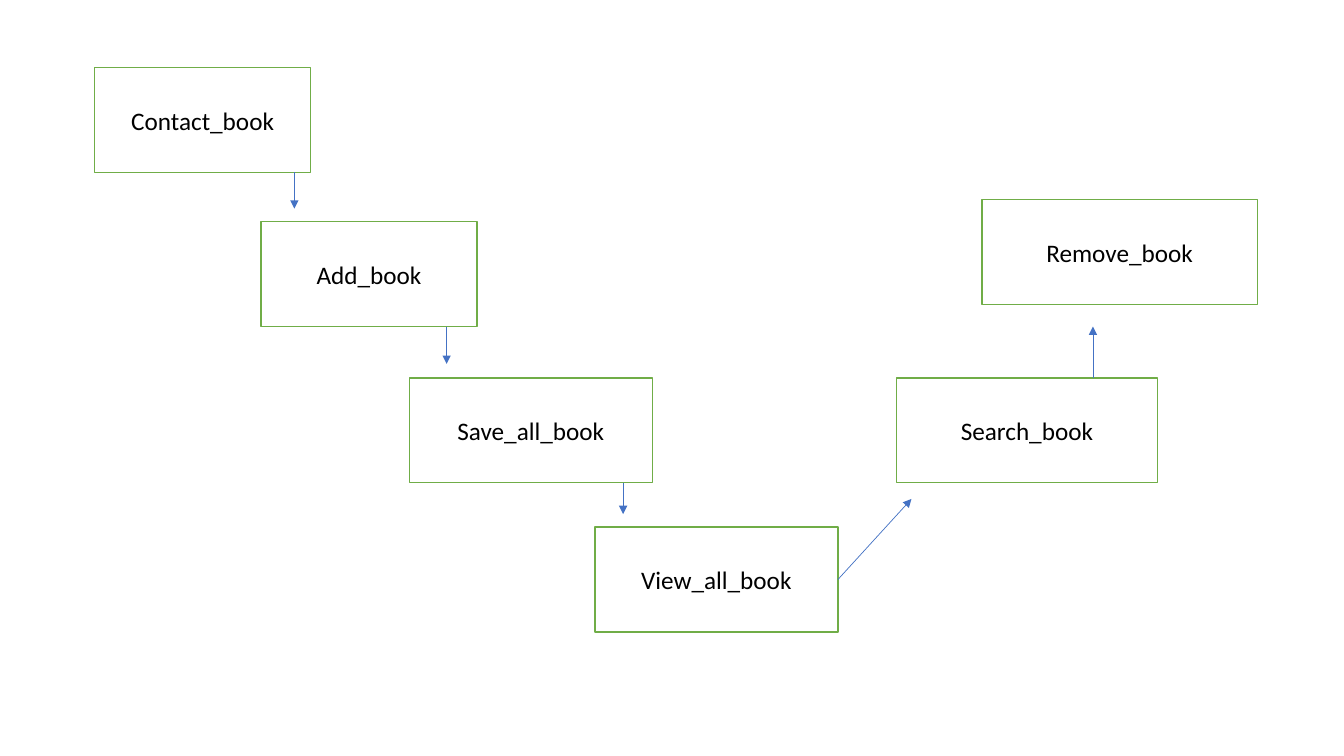
from lxml import etree
from pptx import Presentation
from pptx.dml.color import RGBColor
from pptx.enum import shapes, text
from pptx.oxml import ns
from pptx.util import Inches, Pt

COLORS = {"fill": "FFFFFF", "edge": "70AD47", "text": "000000", "arrow": "4472C4"}
HEIGHT = 1.04

# name: left, top, width
BOXES = {
    "Contact_book": (0.94, 0.67, 2.14),
    "Add_book": (2.59, 2.2, 2.14),
    "Save_all_book": (4.06, 3.75, 2.41),
    "View_all_book": (5.9, 5.23, 2.41),
    "Search_book": (8.89, 3.75, 2.59),
    "Remove_book": (9.74, 1.98, 2.73),
}
# start x, start y, end x, end y
ARROWS = [
    (2.92, 1.71, 2.92, 2.07),
    (4.43, 3.24, 4.43, 3.61),
    (6.18, 4.79, 6.18, 5.1),
    (8.31, 5.75, 9.04, 4.95),
    (10.84, 3.75, 10.84, 3.24),
]

deck = Presentation()
deck.slide_width, deck.slide_height = Inches(13.33), Inches(7.5)
slide = deck.slides.add_slide(deck.slide_layouts[6])

nodes = {}
for name, (left, top, width) in BOXES.items():
    box = slide.shapes.add_shape(
        shapes.MSO_SHAPE.RECTANGLE,
        Inches(left), Inches(top), Inches(width), Inches(HEIGHT))
    box.shadow.inherit = False
    box.fill.solid()
    box.fill.fore_color.rgb = RGBColor.from_string(COLORS["fill"])
    box.line.color.rgb = RGBColor.from_string(COLORS["edge"])
    box.line.width = Pt(1)
    frame = box.text_frame
    frame.vertical_anchor = text.MSO_ANCHOR.MIDDLE
    label = frame.paragraphs[0]
    label.text = name
    label.alignment = text.PP_ALIGN.CENTER
    label.font.name = "Calibri"
    label.font.size = Pt(18)
    label.font.color.rgb = RGBColor.from_string(COLORS["text"])
    nodes[name] = box

links = []
for ends in ARROWS:
    link = slide.shapes.add_connector(
        shapes.MSO_CONNECTOR.STRAIGHT, *[Inches(end) for end in ends])
    link.line.color.rgb = RGBColor.from_string(COLORS["arrow"])
    link.line.width = Pt(0.5)
    props = link.element.spPr
    tail = etree.SubElement(props.find(ns.qn("a:ln")), ns.qn("a:tailEnd"))
    tail.set("type", "triangle")
    etree.SubElement(props, ns.qn("a:effectLst"))
    links.append(link)

# Only the arrow to Search_book starts at the middle of a side
links[3].begin_connect(nodes["View_all_book"], 3)

deck.save("out.pptx")
